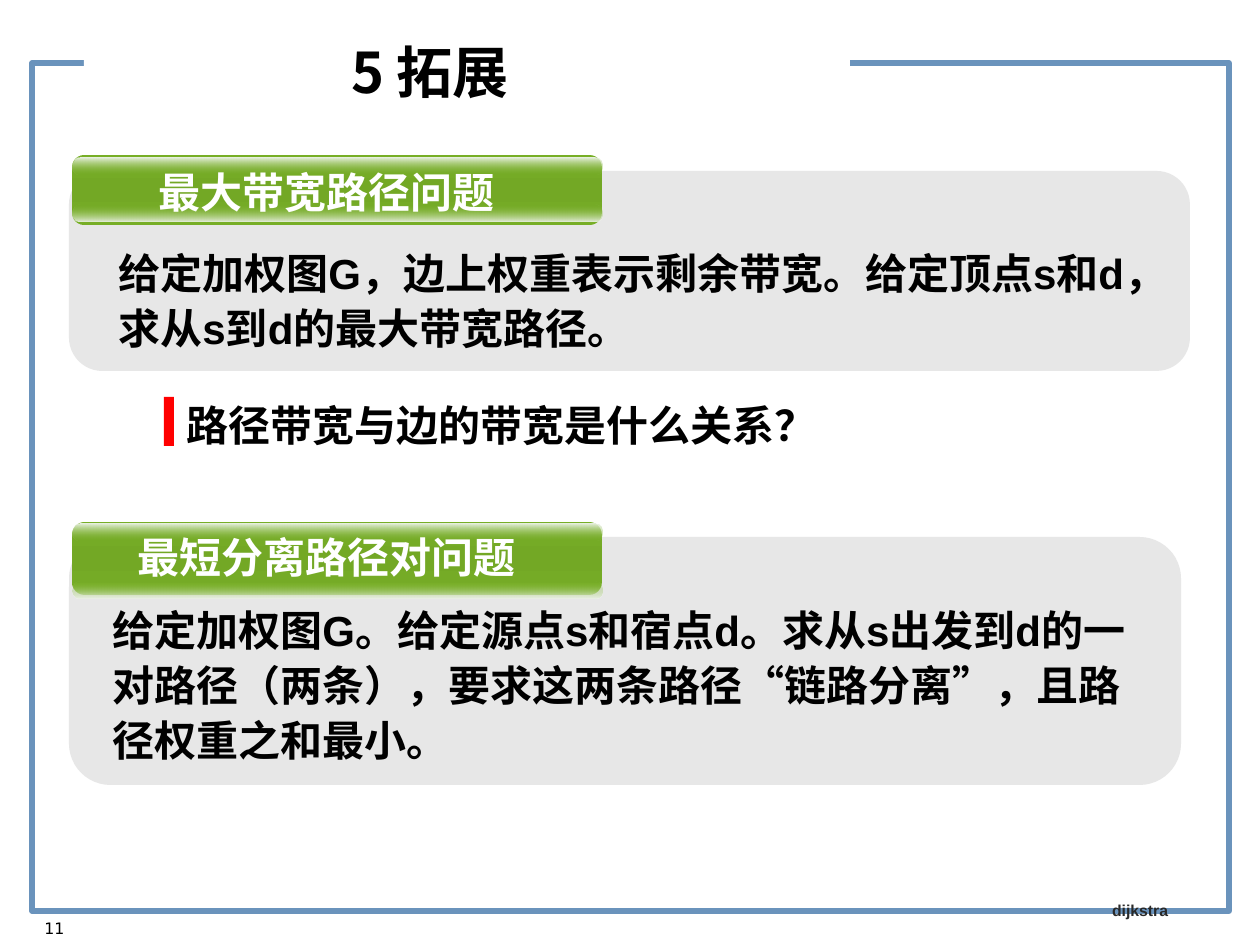
import pptx
import pptx.util
import pptx.dml.color
import pptx.enum.shapes
import pptx.enum.text
import pptx.oxml
import pptx.oxml.ns

RGB = pptx.dml.color.RGBColor
KIND = pptx.enum.shapes.MSO_SHAPE
ALIGN = pptx.enum.text.PP_ALIGN
ANCHOR = pptx.enum.text.MSO_ANCHOR
qn = pptx.oxml.ns.qn

BLACK = RGB(0x00, 0x00, 0x00)
WHITE = RGB(0xFF, 0xFF, 0xFF)
DARK = RGB(0x29, 0x29, 0x29)
BLUE = RGB(0x6A, 0x93, 0xBC)
RED = RGB(0xFF, 0x00, 0x00)
GREY = RGB(0xDD, 0xDD, 0xDD)
GREEN = RGB(0x77, 0xAE, 0x26)
DEEP = RGB(0x73, 0xA8, 0x25)
PALE = RGB(0xED, 0xF2, 0xE9)
LIGHT = RGB(0xF0, 0xF5, 0xED)
CJK = "Noto Sans CJK SC"
PX = 914400 / 126


def draw(box, kind=KIND.RECTANGLE, fill=None, alpha=100, stops=(), round=None):
    """Add a shape without outline; stops are (position, colour, opacity)."""
    shape = slide.shapes.add_shape(kind, *[int(v * PX) for v in box])
    shape.shadow.inherit = False
    shape.line.fill.background()
    if round:
        shape.adjustments[0] = round
    if stops:
        shape.fill.gradient()
        shape.fill.gradient_angle = 270
        grad = shape.element.spPr.find(qn("a:gradFill")).find(qn("a:gsLst"))
        for old in list(grad):
            grad.remove(old)
        for pos, tint, part in stops:
            grad.append(pptx.oxml.parse_xml(
                f'<a:gs {pptx.oxml.ns.nsdecls("a")} pos="{pos * 1000}">'
                f'<a:srgbClr val="{tint}"><a:alpha val="{part * 1000}"/>'
                f'</a:srgbClr></a:gs>'))
    elif fill is not None:
        shape.fill.solid()
        shape.fill.fore_color.rgb = fill
        if alpha < 100:
            tone = shape.element.spPr.find(qn("a:solidFill"))[0]
            tone.makeelement(qn("a:alpha"))
            mark = pptx.oxml.parse_xml(
                f'<a:alpha {pptx.oxml.ns.nsdecls("a")} val="{alpha * 1000}"/>')
            tone.append(mark)
    else:
        shape.fill.background()
    return shape


def write(text, box, size=24, tint=BLACK, face="Arial", bold=True, align=ALIGN.LEFT,
          lead=None, wrap=True, anchor=ANCHOR.TOP, shape=None):
    """Put text in a new text box, or in the given placeholder."""
    place = [int(v * PX) for v in box]
    if shape is None:
        shape = slide.shapes.add_textbox(*place)
    shape.left, shape.top, shape.width, shape.height = place
    frame = shape.text_frame
    frame.word_wrap = wrap
    frame.vertical_anchor = anchor
    para = frame.paragraphs[0]
    para.alignment = align
    if lead:
        para.line_spacing = lead
    run = para.add_run()
    run.text = text
    style = {"name": face, "size": pptx.util.Pt(size), "bold": bold}
    for key, value in style.items():
        setattr(run.font, key, value)
    run.font.color.rgb = tint
    east = pptx.oxml.parse_xml(
        f'<a:ea {pptx.oxml.ns.nsdecls("a")} typeface="{CJK}"/>')
    run.font._element.find(qn("a:latin")).addnext(east)


deck = pptx.Presentation()
deck.slide_width = int(1260 * PX)
deck.slide_height = int(945 * PX)
slide = deck.slides.add_slide(deck.slide_layouts[5])

# Frame, with a gap for the title
frame = draw((32, 63, 1197, 848))
frame.line.color.rgb = BLUE
frame.line.width = pptx.util.Pt(3)
draw((84, 19, 766, 150), fill=WHITE)

title = slide.shapes.title
slide.shapes._spTree.append(title._element)
write("5 拓展", (94, 32, 672, 78), size=32, face=CJK, align=ALIGN.CENTER,
      anchor=ANCHOR.MIDDLE, shape=title)

# Problem panels: grey card, glossy green tab, heading, body
PANELS = [
    ("最大带宽路径问题",
     "给定加权图G，边上权重表示剩余带宽。给定顶点s和d，求从s到d的最大带宽路径。",
     (69, 171, 1121, 200), (155, 70), (205, 158), 160, (106, 236, 1075, 120)),
    ("最短分离路径对问题",
     "给定加权图G。给定源点s和宿点d。求从s出发到d的一对路径（两条），"
     "要求这两条路径“链路分离”，且路径权重之和最小。",
     (69, 537, 1112, 248), (522, 73), (582, 524), 525, (100, 593, 1052, 176)),
]
BODY = [(0, GREEN, 100), (50, DEEP, 100), (100, GREEN, 100)]
GLOW = [(0, GREEN, 0), (100, PALE, 100)]
SHINE = [(0, LIGHT, 100), (100, GREEN, 0)]
ROUND = KIND.ROUNDED_RECTANGLE

for head, body, card, (top, high), (low, up), line, area in PANELS:
    draw(card, ROUND, fill=GREY, alpha=70, round=0.167)
    draw((72, top, 530, high), ROUND, stops=BODY, round=0.175)
    for y, stops in ((low, GLOW), (up, SHINE)):
        draw((73, y, 529, 16), ROUND, stops=stops, round=0.5)
    write(head, (106, line, 441, 63), tint=WHITE, align=ALIGN.CENTER)
    write(body, area, lead=1.1)

# Question with its red bar
write("路径带宽与边的带宽是什么关系？", (174, 393, 673, 64), wrap=False)
draw((164, 397, 10, 49), fill=RED)

# Footer
write("11", (32, 911, 294, 34), size=9, face="DejaVu Sans", bold=False,
      anchor=ANCHOR.MIDDLE)
write("dijkstra", (1062, 895, 156, 32), size=9, tint=DARK, align=ALIGN.CENTER)

deck.save("out.pptx")
